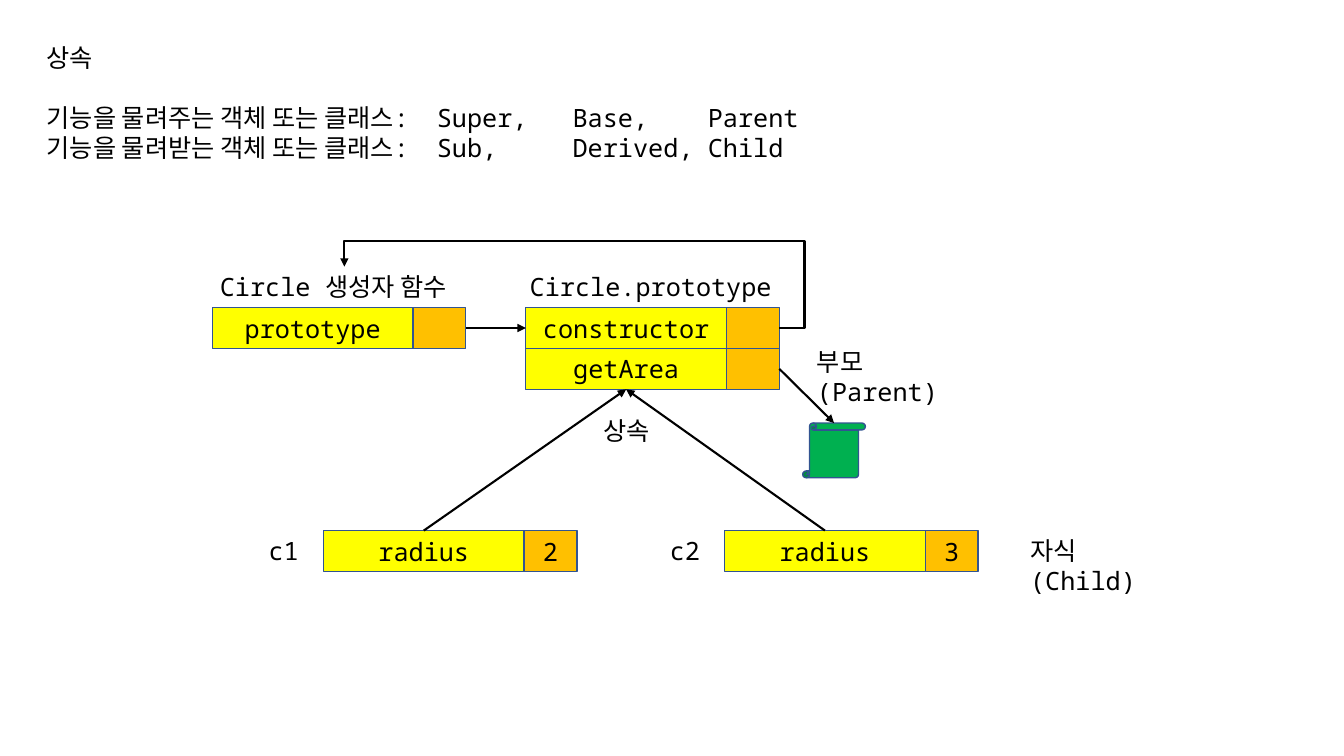
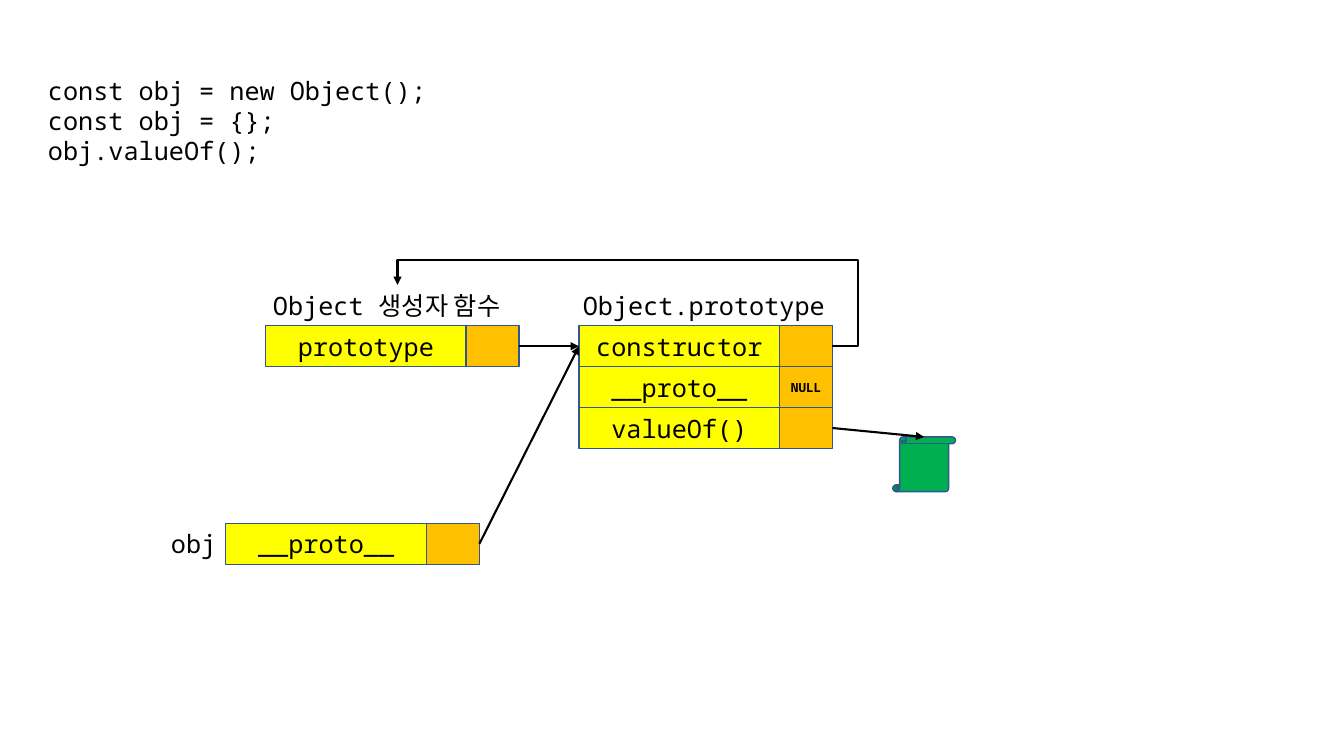
"""Build two slides on JavaScript prototypes and inheritance."""
from lxml.etree import SubElement
from pptx import Presentation
from pptx.dml.color import RGBColor
from pptx.enum.shapes import MSO_CONNECTOR, MSO_SHAPE
from pptx.enum.text import MSO_ANCHOR, MSO_AUTO_SIZE, PP_ALIGN
from pptx.oxml.ns import qn
from pptx.util import Cm, Pt

FONT = "Noto Sans Mono"
BLACK, YELLOW, ORANGE, GREEN, BORDER = "000000", "FFFF00", "FFC000", "00B050", "325491"
NAME_W, SLOT_W, ROW_H = 5.06, 1.33, 1.03
PROTOTYPE_STEP = 7.9
TOP, LEFT, BOTTOM, RIGHT = range(4)

SLIDES = [
    {
        "intro": (0.93, 0.94, 20.98, [
            "상속",
            "기능을 물려주는 객체 또는 클래스:\tSuper,\tBase,\tParent",
            "기능을 물려받는 객체 또는 클래스:\tSub,\tDerived,\tChild"]),
        "tabs": [9.83, 13.25, 16.66],
        "gap_after_first": 21.4,
        "class": ("Circle", 5.35, 7.75),
        "members": [("constructor", ""), ("getArea", "")],
        "method": (20.23, 10.66),
        "instances": [("c1", 1.27, 8.15, 13.37, "radius", "2"),
                      ("c2", 1.27, 18.26, 13.37, "radius", "3")],
        "inherits": True,
        "notes": [(14.96, 10.34, 1.8, ["상속"]),
                  (20.34, 8.6, 4.85, ["부모\v(Parent)"]),
                  (25.71, 13.36, 4.47, ["자식\v(Child)"])],
    },
    {
        "intro": (0.96, 1.77, 10.08, [
            "const obj = new Object();", "const obj = {};", "obj.valueOf();"]),
        "tabs": [],
        "gap_after_first": 0,
        "class": ("Object", 6.69, 8.21),
        "members": [("constructor", ""), ("__proto__", "NULL"), ("valueOf()", "")],
        "method": (22.5, 11.01),
        "instances": [("obj", 1.65, 5.69, 13.19, "__proto__", "")],
        "inherits": False,
        "notes": [],
    },
]


def color(hex_code):
    return RGBColor.from_string(hex_code)


def style(paragraph, size=18, bold=None):
    font = paragraph.font
    font.size, font.bold, font.name = Pt(size), bold, FONT
    font.color.rgb = color(BLACK)


def add_text(slide, left, top, width, lines, tabs=(), gap_after_first=0):
    box = slide.shapes.add_textbox(Cm(left), Cm(top), Cm(width), Cm(0.26 + 0.77 * len(lines)))
    frame = box.text_frame
    frame.word_wrap, frame.auto_size = False, MSO_AUTO_SIZE.SHAPE_TO_FIT_TEXT
    frame.text = "\n".join(lines)
    for paragraph in frame.paragraphs:
        style(paragraph)
        if tabs:
            properties = paragraph._p.pPr
            stops = SubElement(properties, qn("a:tabLst"))
            properties.find(qn("a:defRPr")).addprevious(stops)
            for position in tabs:
                stop = SubElement(stops, qn("a:tab"))
                stop.set("pos", str(Cm(position)))
                stop.set("algn", "l")
    if gap_after_first:
        frame.paragraphs[0].space_after = Pt(gap_after_first)
    return box


def add_block(slide, preset, left, top, width, height, fill):
    block = slide.shapes.add_shape(preset, Cm(left), Cm(top), Cm(width), Cm(height))
    block.shadow.inherit = False
    block.fill.solid()
    block.fill.fore_color.rgb = color(fill)
    block.line.color.rgb = color(BORDER)
    block.line.width = Pt(1)
    return block


def add_record(slide, left, top, name, value=""):
    cells = []
    for x, width, fill, text in [(left, NAME_W, YELLOW, name),
                                 (left + NAME_W, SLOT_W, ORANGE, value)]:
        cell = add_block(slide, MSO_SHAPE.RECTANGLE, x, top, width, ROW_H, fill)
        if text:
            frame = cell.text_frame
            frame.vertical_anchor = MSO_ANCHOR.MIDDLE
            frame.text = text
            paragraph = frame.paragraphs[0]
            paragraph.alignment = PP_ALIGN.CENTER
            is_null = text == "NULL"
            style(paragraph, 9 if is_null else 18, is_null or None)
            if is_null:
                frame.margin_left = frame.margin_right = 0
        cells.append(cell)
    return cells


def add_arrow(slide, source, source_side, target, target_side, kind=MSO_CONNECTOR.STRAIGHT):
    arrow = slide.shapes.add_connector(kind, 0, 0, 0, 0)
    arrow.begin_connect(source, source_side)
    arrow.end_connect(target, target_side)
    arrow.line.color.rgb = color(BLACK)
    arrow.line.width = Pt(1.5)
    properties = arrow._element.spPr
    SubElement(properties.find(qn("a:ln")), qn("a:tailEnd")).set("type", "triangle")
    SubElement(properties, qn("a:effectLst"))
    return arrow


def add_return_arrow(slide, source, target):
    arrow = add_arrow(slide, source, RIGHT, target, TOP, MSO_CONNECTOR.ELBOW)
    geometry = arrow._element.spPr.find(qn("a:prstGeom"))
    geometry.set("prst", "bentConnector4")
    adjustments = geometry.find(qn("a:avLst"))
    for name, value in [("adj1", -5800), ("adj2", 141300)]:
        guide = SubElement(adjustments, qn("a:gd"))
        guide.set("name", name)
        guide.set("fmla", f"val {value}")


def build(slide, content):
    add_text(slide, *content["intro"], content["tabs"], content["gap_after_first"])

    class_name, left, top = content["class"]
    prototype_left = left + PROTOTYPE_STEP
    constructor_label = add_text(slide, left - 0.06, top - 1.03, 6.78,
                                 [f"{class_name} 생성자 함수"])
    add_text(slide, prototype_left - 0.15, top - 1.03, 6.63, [f"{class_name}.prototype"])
    prototype_slot = add_record(slide, left, top, "prototype")[1]
    members = [add_record(slide, prototype_left, top + row * ROW_H, *member)
               for row, member in enumerate(content["members"])]
    first_name, first_slot = members[0]
    last_name, last_slot = members[-1]
    add_arrow(slide, prototype_slot, RIGHT, first_name, LEFT)
    add_return_arrow(slide, first_slot, constructor_label)

    method = add_block(slide, MSO_SHAPE.VERTICAL_SCROLL, *content["method"], 1.58, 1.38, GREEN)
    add_arrow(slide, last_slot, RIGHT, method, TOP)

    for label, label_width, x, y, field, value in content["instances"]:
        add_text(slide, x - 1.63, y, label_width, [label])
        field_name, field_slot = add_record(slide, x, y, field, value)
        if content["inherits"]:
            add_arrow(slide, field_name, TOP, last_name, BOTTOM)
        else:
            add_arrow(slide, field_slot, RIGHT, first_name, LEFT)

    for note in content["notes"]:
        add_text(slide, *note)


deck = Presentation()
deck.slide_width, deck.slide_height = Cm(33.87), Cm(19.05)
for slide_content in SLIDES:
    build(deck.slides.add_slide(deck.slide_layouts[6]), slide_content)
deck.save("out.pptx")
